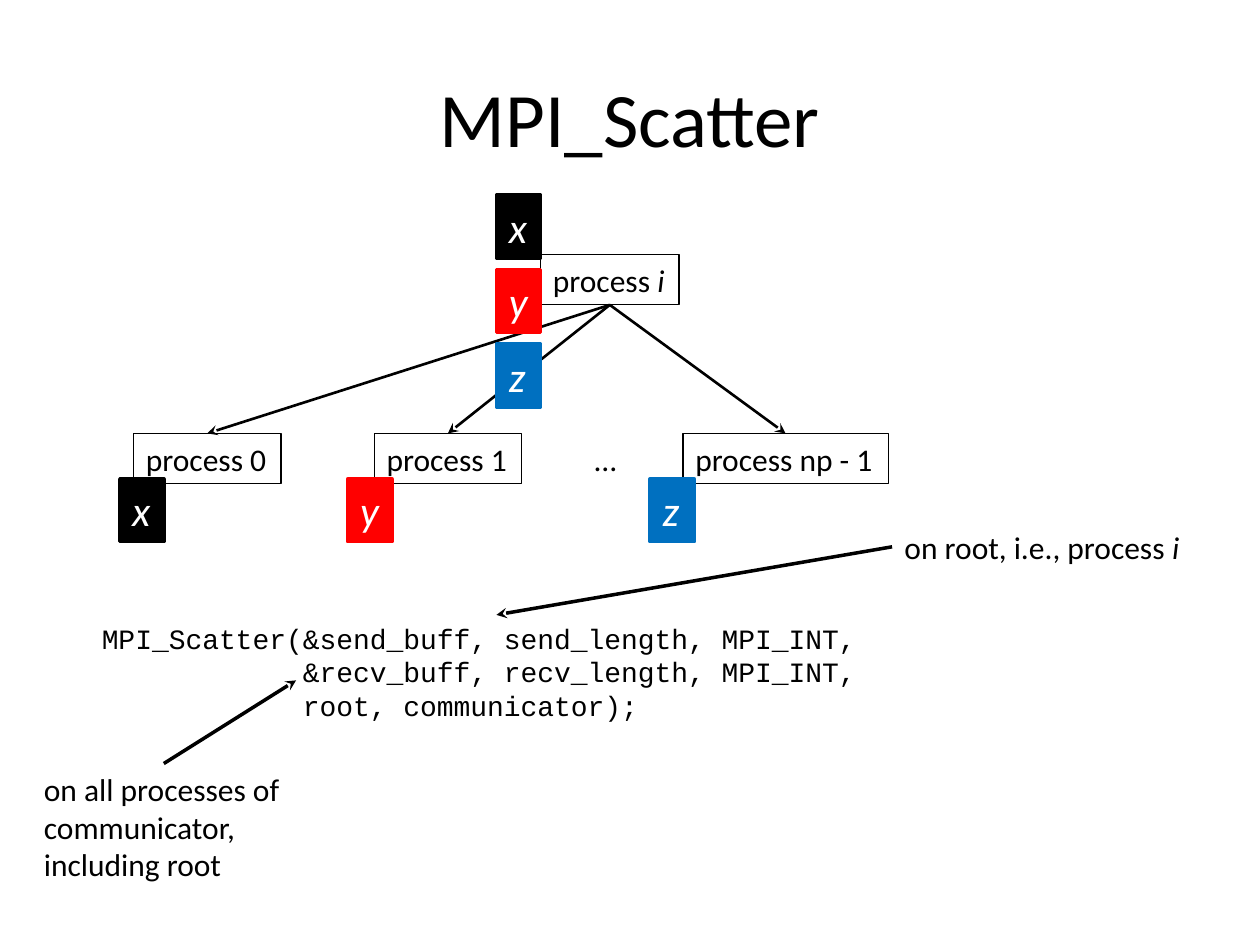
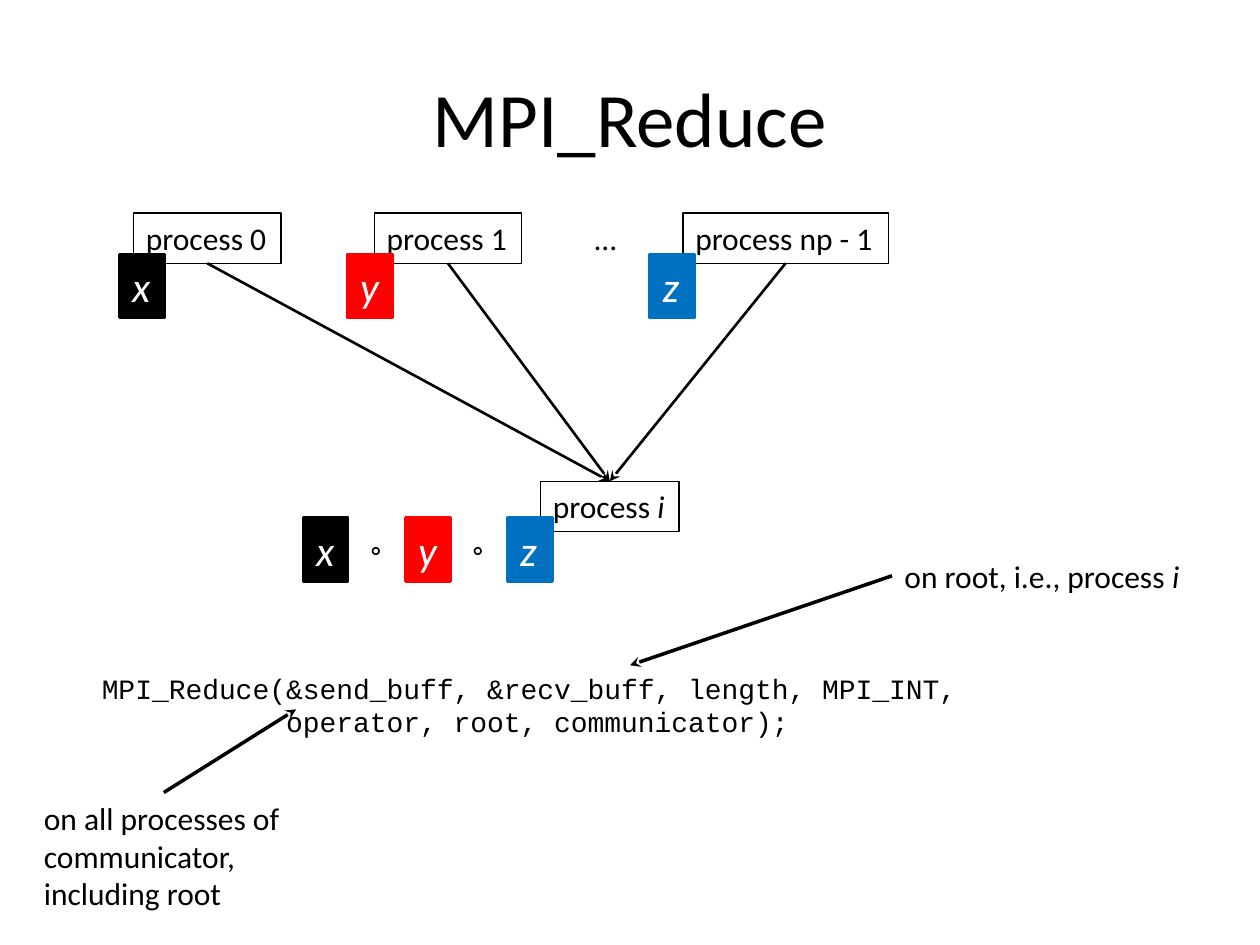
from lxml import etree
from pptx import Presentation
from pptx.dml.color import RGBColor
from pptx.enum.shapes import MSO_CONNECTOR
from pptx.enum.text import MSO_ANCHOR, MSO_AUTO_SIZE, PP_ALIGN
from pptx.oxml.ns import qn
from pptx.util import Inches, Pt

STRAIGHT = MSO_CONNECTOR.STRAIGHT
LEFT, CENTER = PP_ALIGN.LEFT, PP_ALIGN.CENTER
TOP, MIDDLE = MSO_ANCHOR.TOP, MSO_ANCHOR.MIDDLE
GROW, FIXED = MSO_AUTO_SIZE.SHAPE_TO_FIT_TEXT, MSO_AUTO_SIZE.NONE

COLORS = {"ink": "000000", "paper": "FFFFFF",
          "x": "000000", "y": "FF0000", "z": "0070C0"}
BODY_FONT, CODE_FONT = "Calibri", "Courier New"

# Left edge and width of each process box, relative to the row
WORKERS = {"process 0": (0.11, 1.17), "process 1": (2.02, 1.17),
           "process np - 1": (4.47, 1.63)}
WORKER_VALUES = {"x": 0, "y": 1.81, "z": 4.21}
ROW_LEFT = 0.95
ROOT_LEFT, ROOT_WIDTH = 4.29, 1.1
PROCESS_HEIGHT = 0.4
VALUE_WIDTH, VALUE_HEIGHT = 0.35, 0.5


def rgb(name):
    return RGBColor.from_string(COLORS[name])


def add_text(page, text, left, top, width, height, size=18, font=BODY_FONT,
             color="ink", align=LEFT, anchor=TOP, wrap=False, grow=GROW):
    """Words between asterisks become italic; newlines become line breaks."""
    box = page.shapes.add_textbox(Inches(left), Inches(top), Inches(width), Inches(height))
    frame = box.text_frame
    frame.word_wrap = wrap
    frame.auto_size = grow
    frame.vertical_anchor = anchor
    para = frame.paragraphs[0]
    para.alignment = align
    for row, line in enumerate(text.split("\n")):
        if row:
            para.add_line_break()
        for part, words in enumerate(line.split("*")):
            if words:
                span = para.add_run()
                span.text = words
                span.font.name = font
                span.font.size = Pt(size)
                span.font.color.rgb = rgb(color)
                span.font.italic = part % 2 == 1
    return box


def set_outline(box, color, width):
    box.line.color.rgb = rgb(color)
    box.line.width = Pt(width)


def add_arrow(page, start, end, width):
    arrow = page.shapes.add_connector(STRAIGHT, *(Inches(value) for value in (*start, *end)))
    set_outline(arrow, "ink", width)
    etree.SubElement(arrow.line._get_or_add_ln(), qn("a:tailEnd"), type="stealth")
    etree.SubElement(arrow._element.spPr, qn("a:effectLst"))


def add_title(page, text):
    add_text(page, text, 0.5, 0.3, 9, 1.25, size=44, align=CENTER,
             anchor=MIDDLE, wrap=True, grow=FIXED)


def add_process(page, name, left, top, width):
    box = add_text(page, name, left, top, width, PROCESS_HEIGHT)
    set_outline(box, "ink", 0.75)


def add_value(page, name, left, top):
    box = add_text(page, f"*{name}*", left, top, VALUE_WIDTH, VALUE_HEIGHT,
                   size=24, color="paper")
    box.fill.solid()
    box.fill.fore_color.rgb = rgb(name)
    set_outline(box, name, 2)


def add_worker_row(page, left, top):
    for name, (offset, width) in WORKERS.items():
        add_process(page, name, left + offset, top, width)
    add_text(page, "…", left + 3.67, top, 0.38, PROCESS_HEIGHT)


def add_worker_values(page, left, top):
    for name, offset in WORKER_VALUES.items():
        add_value(page, name, left + offset, top)


def add_message_arrows(page, root_edge, worker_edge, from_root):
    root = (ROOT_LEFT + ROOT_WIDTH / 2, root_edge)
    for offset, width in WORKERS.values():
        worker = (ROW_LEFT + offset + width / 2, worker_edge)
        ends = (root, worker) if from_root else (worker, root)
        add_arrow(page, *ends, 1.5)


def add_value_stack(page, left, top):
    for row, name in enumerate("xyz"):
        add_value(page, name, left, top + row * 0.59)


def add_combined_values(page, left, top):
    pitch = 0.81
    for column, name in enumerate("xyz"):
        add_value(page, name, left + column * pitch, top)
        if column:
            add_text(page, "◦", left + column * pitch - 0.38, top + 0.05, 0.29, 0.4)


def add_call(page, code, top, height):
    add_text(page, code, 0.71, top, 8.07, height, size=16, font=CODE_FONT, wrap=True)


def add_call_notes(page, top, root_target):
    """Explain which arguments matter on the root and which on all processes."""
    add_text(page, "on root, i.e., process *i*", 7.08, top, 2.41, 0.4)
    add_arrow(page, (7.08, top + 0.2), root_target, 2)
    note_top = top + 1.92
    add_text(page, "on all processes of\ncommunicator,\nincluding root",
             0.25, note_top, 2.09, 1.01)
    add_arrow(page, (1.3, note_top), (2.35, note_top - 0.66), 2)


def build_scatter(page):
    root_top, row_top = 2.02, 3.44
    add_title(page, "MPI_Scatter")
    add_worker_row(page, ROW_LEFT, row_top)
    add_process(page, "process *i*", ROOT_LEFT, root_top, ROOT_WIDTH)
    add_message_arrows(page, root_top + PROCESS_HEIGHT, row_top, from_root=True)
    add_worker_values(page, ROW_LEFT, row_top + 0.36)
    add_call(page, "MPI_Scatter(&send_buff, send_length, MPI_INT,\n"
                   "            &recv_buff, recv_length, MPI_INT,\n"
                   "            root, communicator);", 4.88, 0.91)
    add_value_stack(page, 3.94, 1.55)
    add_call_notes(page, 4.14, (3.94, 4.88))


def build_reduce(page):
    root_top, row_top = 3.82, 1.69
    add_title(page, "MPI_Reduce")
    add_worker_row(page, ROW_LEFT, row_top)
    add_process(page, "process *i*", ROOT_LEFT, root_top, ROOT_WIDTH)
    add_message_arrows(page, root_top, row_top + PROCESS_HEIGHT, from_root=False)
    add_worker_values(page, ROW_LEFT, row_top + 0.33)
    add_call(page, "MPI_Reduce(&send_buff, &recv_buff, length, MPI_INT,\n"
                   "           operator, root, communicator);", 5.28, 0.64)
    add_combined_values(page, 2.41, 4.11)
    add_call_notes(page, 4.37, (5, 5.28))


def main():
    deck = Presentation()
    deck.slide_width, deck.slide_height = Inches(10), Inches(7.5)
    for build in (build_scatter, build_reduce):
        build(deck.slides.add_slide(deck.slide_layouts[6]))
    deck.save("out.pptx")


if __name__ == "__main__":
    main()
